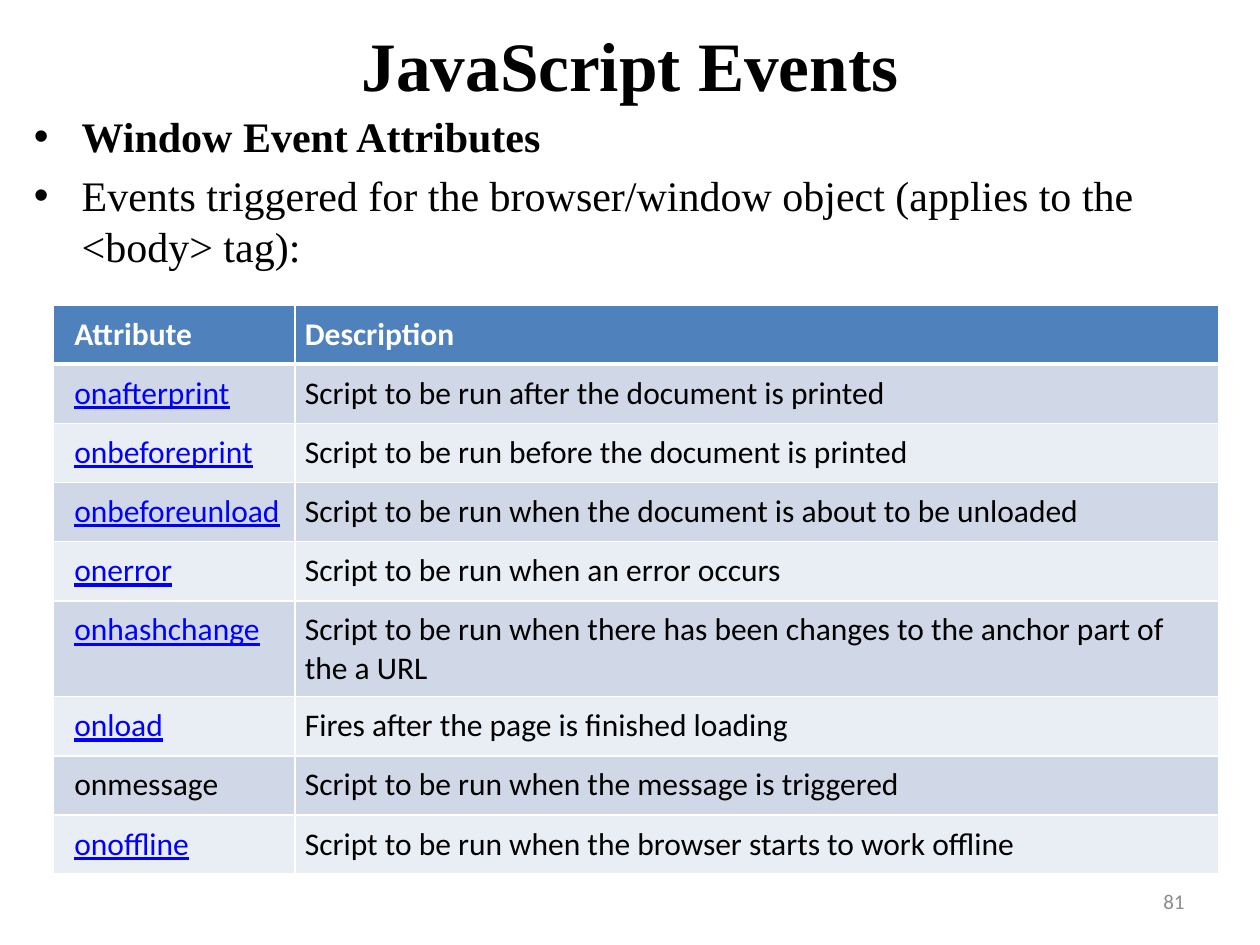
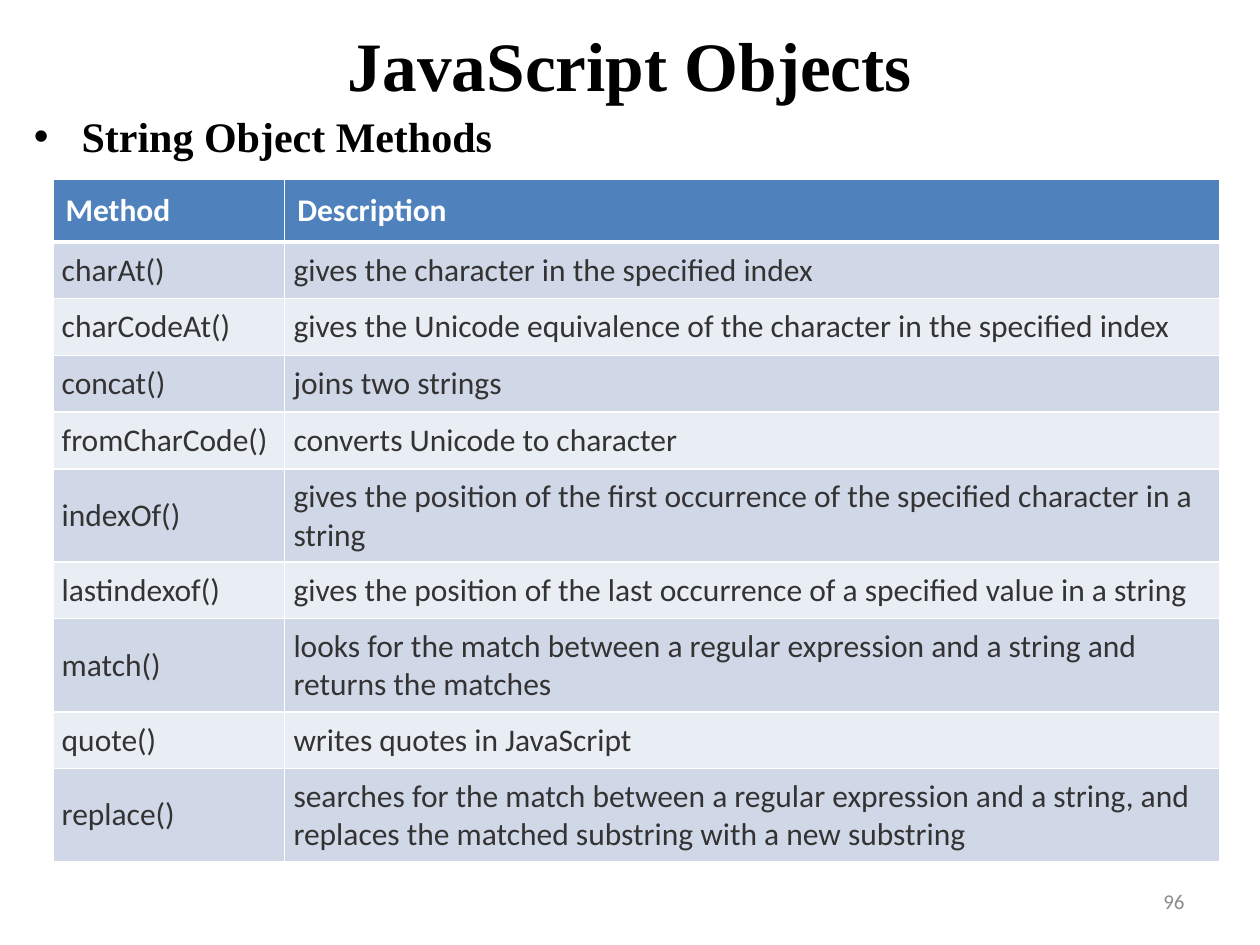
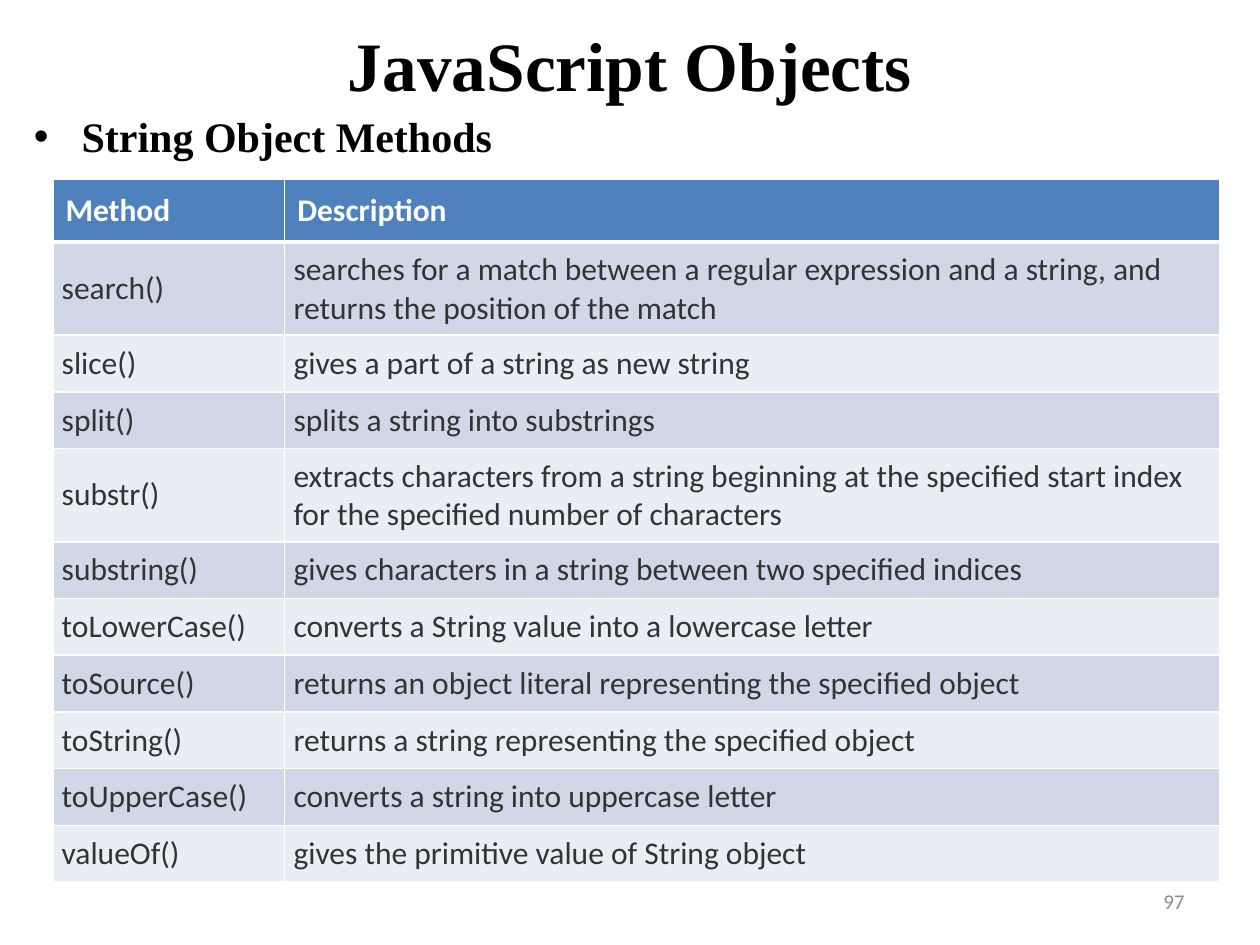
from dataclasses import dataclass

from lxml import etree
from pptx import Presentation
from pptx import util as u
from pptx.dml.color import RGBColor
from pptx.enum import text
from pptx.oxml import ns

I = u.Inches
ALIGN, ANCHOR = text.PP_ALIGN, text.MSO_ANCHOR


@dataclass(frozen=True)
class Theme:
    serif: str = "Times New Roman"
    sans: str = "Calibri"
    ink: str = "000000"
    grey: str = "333333"
    number: str = "8C8C8C"
    link: str = "0000FF"
    white: str = "FFFFFF"
    header: str = "4F81BD"
    bands: tuple = ("D0D8E8", "E9EDF4")
    title_size: float = 39.6
    body_size: float = 24
    table_size: float = 18
    number_size: float = 12
    rule: float = 1
    header_rule: float = 3


T = Theme()

# Shared boxes: left, top, width, height
TITLE_BOX = (0.25, 0.17, 9.5, 0.67)
BODY_BOX = (0.17, 0.83, 9.67, 6.42)
NUMBER_BOX = (7.17, 6.95, 2.33, 0.4)

TITLE = dict(name=T.serif, size=T.title_size, color=T.ink, bold=True)
BODY = dict(name=T.serif, size=T.body_size, color=T.ink, bold=False)
NUMBER = dict(name=T.sans, size=T.number_size, color=T.number)
CELL = dict(name=T.sans, size=T.table_size, color=T.ink, bold=False)
HEADER = CELL | dict(color=T.white, bold=True)
LINK = CELL | dict(color=T.link, underline=True)
METHOD = CELL | dict(color=T.grey)

# Table layouts: cell insets are left, then the other three sides
EVENT_TABLE = dict(box=(0.42, 2.42, 9.25), first_col=1.92, row_h=0.47,
                   header_insets=((0.17, 0.08), (0.08, 0.08)),
                   insets=((0.17, 0.08), (0.08, 0.08)),
                   anchor=ANCHOR.TOP, formats=(LINK, CELL))
METHOD_TABLE = dict(box=(0.42, 1.42, 9.26), first_col=1.84, row_h=0.45,
                    header_insets=((0.1, 0.1),) * 2,
                    insets=((0.07, 0.07),) * 2,
                    anchor=ANCHOR.MIDDLE, formats=(METHOD, METHOD))

EVENTS = [
    ("onafterprint", "Script to be run after the document is printed"),
    ("onbeforeprint", "Script to be run before the document is printed"),
    ("onbeforeunload", "Script to be run when the document is about to be unloaded"),
    ("onerror", "Script to be run when an error occurs"),
    ("onhashchange", "Script to be run when there has been changes to the anchor part of the a URL"),
    ("onload", "Fires after the page is finished loading"),
    ("onmessage", "Script to be run when the message is triggered"),
    ("onoffline", "Script to be run when the browser starts to work offline"),
]
UNLINKED = {"onmessage"}

METHODS_A_TO_R = [
    ("charAt()", "gives the character in the specified index"),
    ("charCodeAt()", "gives the Unicode equivalence of the character in the specified index"),
    ("concat()", "joins two strings"),
    ("fromCharCode()", "converts Unicode to character"),
    ("indexOf()", "gives the position of the first occurrence of the specified character in a string"),
    ("lastindexof()", "gives the position of the last occurrence of a specified value in a string"),
    ("match()", "looks for the match between a regular expression and a string and returns the matches"),
    ("quote()", "writes quotes in JavaScript"),
    ("replace()", "searches for the match between a regular expression and a string, "
                  "and replaces the matched substring with a new substring"),
]
METHODS_S_TO_V = [
    ("search()", "searches for a match between a regular expression and a string, "
                 "and returns the position of the match"),
    ("slice()", "gives a part of a string as new string"),
    ("split()", "splits a string into substrings"),
    ("substr()", "extracts characters from a string beginning at the specified start index "
                 "for the specified number of characters"),
    ("substring()", "gives characters in a string between two specified indices"),
    ("toLowerCase()", "converts a String value into a lowercase letter"),
    ("toSource()", "returns an object literal representing the specified object"),
    ("toString()", "returns a string representing the specified object"),
    ("toUpperCase()", "converts a string into uppercase letter"),
    ("valueOf()", "gives the primitive value of String object"),
]


def add_run(p, words, fmt):
    r = p.add_run()
    r.text = words
    for key, value in fmt.items():
        if key == "color":
            r.font.color.rgb = RGBColor.from_string(value)
        else:
            setattr(r.font, key, u.Pt(value) if key == "size" else value)


def add_box(s, box, anchor):
    tf = s.shapes.add_textbox(*map(I, box)).text_frame
    tf.word_wrap = True
    tf.vertical_anchor = anchor
    return tf


def add_line(s, box, words, fmt, align):
    p = add_box(s, box, ANCHOR.MIDDLE).paragraphs[0]
    p.alignment = align
    add_run(p, words, fmt)


def add_bullets(s, box, items, align):
    tf = add_box(s, box, ANCHOR.TOP)
    for i, (words, bold) in enumerate(items):
        p = tf.add_paragraph() if i else tf.paragraphs[0]
        p.alignment = align
        p.space_before = u.Pt(5)
        add_run(p, words, BODY | dict(bold=bold))
        # Hanging bullet
        pPr = p._p.get_or_add_pPr()
        pPr.set("marL", str(I(0.38)))
        pPr.set("indent", str(-I(0.38)))
        etree.SubElement(pPr, ns.qn("a:buFont"), typeface="Arial")
        etree.SubElement(pPr, ns.qn("a:buChar"), char="•")


def add_borders(cell, row):
    heavy = {"T": row == 1, "B": row == 0}
    tcPr = cell._tc.get_or_add_tcPr()
    for side in "LRTB":
        width = T.header_rule if heavy.get(side) else T.rule
        ln = etree.SubElement(tcPr, ns.qn(f"a:ln{side}"), w=str(u.Pt(width)))
        fill = etree.SubElement(ln, ns.qn("a:solidFill"))
        etree.SubElement(fill, ns.qn("a:srgbClr"), val=T.white)


def fill_cell(cell, words, fmt, insets, anchor, color):
    left, other = map(I, insets)
    for key, value in dict(margin_left=left, margin_right=other, margin_top=other,
                           margin_bottom=other, vertical_anchor=anchor).items():
        setattr(cell, key, value)
    cell.fill.solid()
    cell.fill.fore_color.rgb = RGBColor.from_string(color)
    add_run(cell.text_frame.paragraphs[0], words, fmt)


def add_reference_table(s, head, rows, box, first_col, row_h,
                        header_insets, insets, anchor, formats):
    left, top, width = box
    lines = [(head, "Description"), *rows]
    size = (left, top, width, row_h * len(lines))
    tbl = s.shapes.add_table(len(lines), 2, *map(I, size)).table
    for col, w in zip(tbl.columns, (first_col, width - first_col)):
        col.width = I(w)
    for i, line in enumerate(lines):
        tbl.rows[i].height = I(row_h)
        for j, words in enumerate(line):
            cell = tbl.cell(i, j)
            add_borders(cell, i)
            if i == 0:
                fill_cell(cell, words, HEADER, header_insets[j], anchor, T.header)
            else:
                fmt = CELL if words in UNLINKED else formats[j]
                fill_cell(cell, words, fmt, insets[j], anchor, T.bands[(i - 1) % 2])


def add_reference_slide(prs, title, bullets, align, number, head, rows, layout):
    s = prs.slides.add_slide(prs.slide_layouts[6])
    add_line(s, TITLE_BOX, title, TITLE, ALIGN.CENTER)
    add_bullets(s, BODY_BOX, bullets, align)
    add_line(s, NUMBER_BOX, number, NUMBER, ALIGN.RIGHT)
    add_reference_table(s, head, rows, **layout)


def main():
    prs = Presentation()
    prs.slide_width, prs.slide_height = I(10), I(7.5)

    # Window events
    add_reference_slide(
        prs, "JavaScript Events",
        [("Window Event Attributes", True),
         ("Events triggered for the browser/window object (applies to the <body> tag):", False)],
        ALIGN.LEFT, "81", "Attribute", EVENTS, EVENT_TABLE)

    # String methods, over two slides
    for number, rows in (("96", METHODS_A_TO_R), ("97", METHODS_S_TO_V)):
        add_reference_slide(prs, "JavaScript Objects", [("String Object Methods", True)],
                            ALIGN.JUSTIFY, number, "Method", rows, METHOD_TABLE)

    prs.save("out.pptx")


if __name__ == "__main__":
    main()
